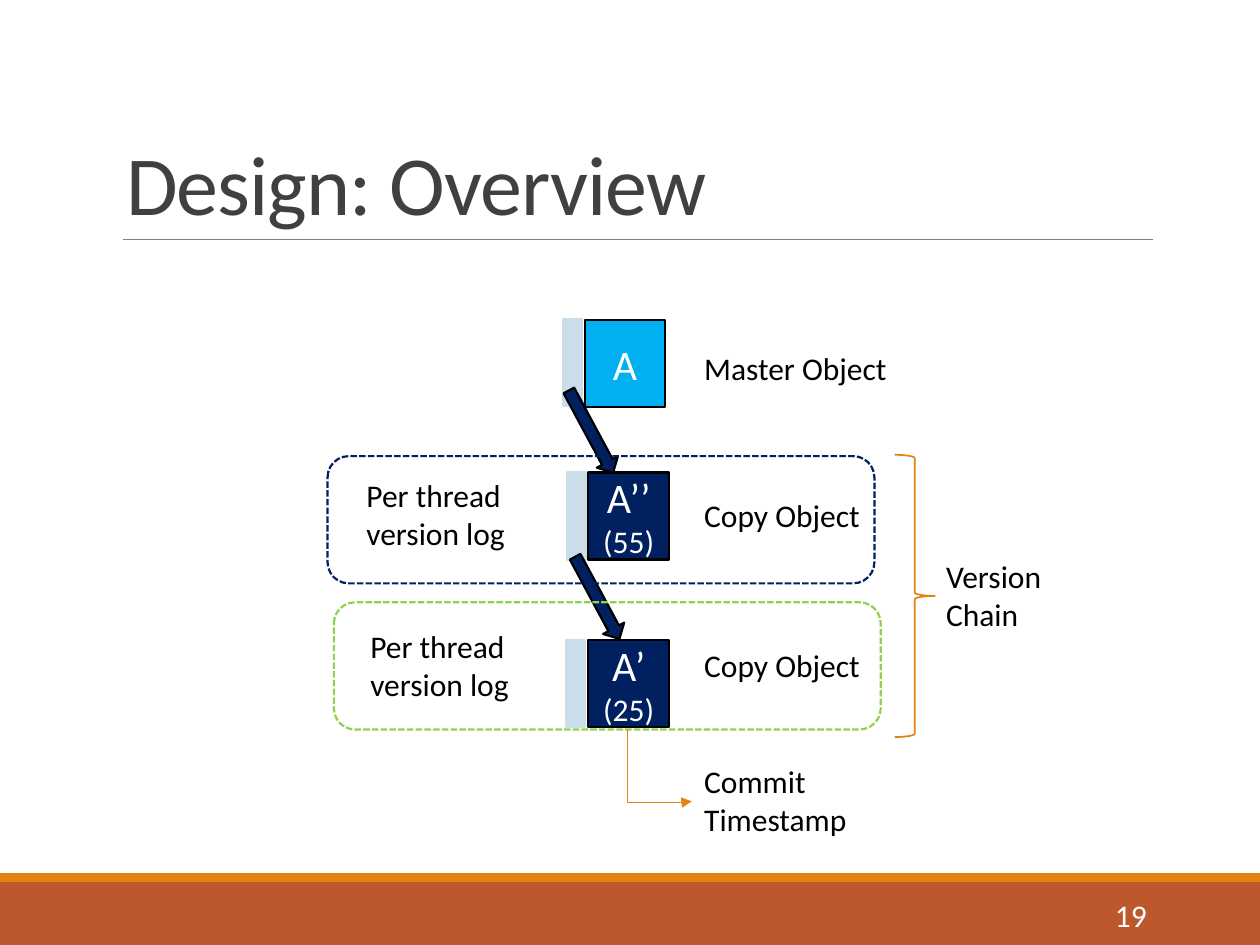
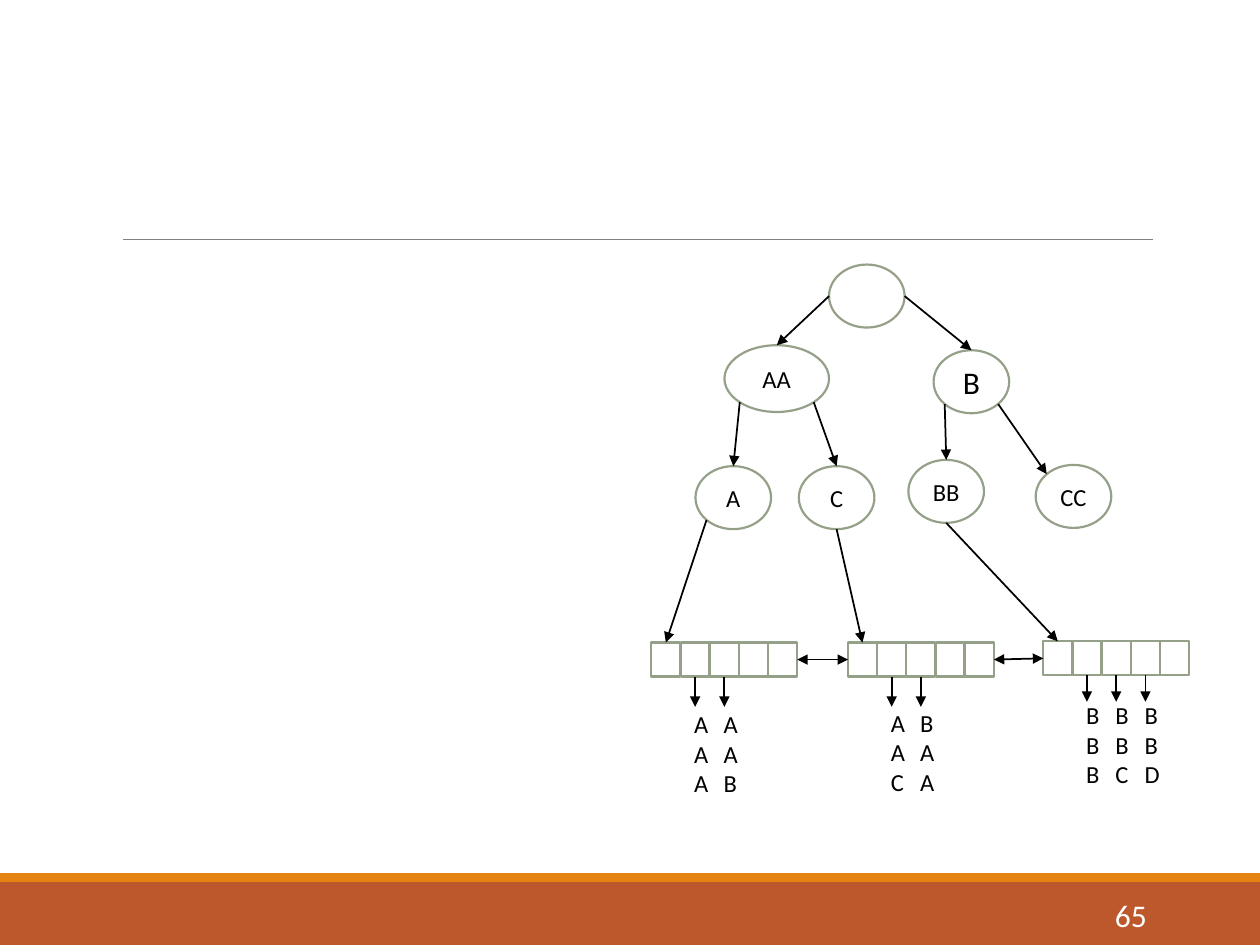
import math

import pptx
import pptx.dml.color
import pptx.enum.dml
import pptx.enum.shapes
import pptx.enum.text
import pptx.oxml
import pptx.oxml.ns
import pptx.util

Inches, Pt = pptx.util.Inches, pptx.util.Pt
SHAPE = pptx.enum.shapes.MSO_SHAPE
LINE = pptx.enum.shapes.MSO_CONNECTOR
ANCHOR = pptx.enum.text.MSO_ANCHOR
ALIGN = pptx.enum.text.PP_ALIGN
FIT = pptx.enum.text.MSO_AUTO_SIZE

COLORS = {
    "white": "FFFFFF", "black": "000000", "title": "404040", "rule": "808080",
    "rust": "BD582C", "orange": "E48312", "sky": "00B0F0", "navy": "002060",
    "pale": "CCDDEA", "green": "92D050", "sage": "94A088",
}
FONT = "Calibri"
TITLE_AT = (0.9, 0.31, 8.25, 1.59)
NUMBER_AT = (8.12, 7.06, 1.08, 0.4)
BANDS = [((0, 7, 10, 0.5), "rust"), ((0, 6.93, 10, 0.07), "orange")]

# Version chain: objects with their header strips, labels and logs
OBJECT_W, OBJECT_H, STRIP_W = 0.64, 0.69, 0.15
OBJECTS = [  # left, top, strip left, strip top, fill, lines with sizes
    (4.64, 2.54, 4.47, 2.53, "sky", [("A", 24)]),
    (4.67, 3.75, 4.5, 3.75, "navy", [("A’’", 24), ("(55)", 18)]),
    (4.67, 5.08, 4.49, 5.08, "navy", [("A’", 24), ("(25)", 18)]),
]
LABELS = [
    ("Master Object", (5.49, 2.72, 1.75, 0.4)),
    ("Copy Object", (5.49, 3.89, 1.75, 0.4)),
    ("Copy Object", (5.49, 5.08, 1.75, 0.4)),
    ("Per thread version log", (2.81, 3.73, 1.45, 0.71)),
    ("Per thread version log", (2.84, 4.93, 1.45, 0.71)),
    ("Version Chain", (7.41, 4.37, 1.05, 0.71)),
    ("Commit Timestamp", (5.49, 6, 1.51, 0.71)),
]
CHAIN_ARROWS = [(4.32, 3.33), (4.37, 4.65)]
LOGS = [(2.6, 3.62, "navy"), (2.65, 4.78, "green")]

# Search tree: nodes, edges and leaf rows
NODES = {  # name: (place, text size)
    "root": ((6.58, 2.1, 0.6, 0.5), None),
    "AA": ((5.75, 2.74, 0.83, 0.53), 14),
    "B": ((7.41, 2.78, 0.6, 0.5), 18),
    "A": ((5.52, 3.7, 0.6, 0.5), 14),
    "C": ((6.34, 3.7, 0.6, 0.5), 14),
    "BB": ((7.21, 3.65, 0.6, 0.5), 14),
    "CC": ((8.22, 3.69, 0.6, 0.5), 14),
}
SITE_ANGLES = {"right": 0, "lower right": 45, "bottom": 90, "lower left": 135,
               "left": 180, "upper left": 225, "top": 270}
EDGES = [
    ("root", "left", "AA", "top"), ("root", "right", "B", "top"),
    ("AA", "lower left", "A", "top"), ("AA", "lower right", "C", "top"),
    ("B", "lower left", "BB", "top"), ("B", "lower right", "CC", "upper left"),
]
CELLS, CELL_W, CELL_H = 5, 0.23, 0.27
ROW_W = 1.16
LEAF_ROWS = [  # left, top, arrow end, keys top, parent and its site, keys
    (5.17, 5.1, 5.61, 5.58, ("A", "lower left"), ["AAA", "AAB"]),
    (6.73, 5.1, 5.61, 5.57, ("C", "bottom"), ["AAC", "BAA"]),
    (8.28, 5.09, 5.57, 5.51, ("BB", "bottom"), ["BBB", "BBC", "BBD"]),
]


def rgb(name):
    return pptx.dml.color.RGBColor.from_string(COLORS[name])


def write(tf, lines, color="black", align=ALIGN.LEFT, **frame):
    """Fill a text frame with (text, size) lines."""
    for attr, value in {"word_wrap": True, **frame}.items():
        setattr(tf, attr, value)
    for i, (text, size) in enumerate(lines):
        p = tf.paragraphs[0] if i == 0 else tf.add_paragraph()
        p.alignment = align
        r = p.add_run()
        r.text = text
        for attr, value in {"name": FONT, "size": Pt(size)}.items():
            setattr(r.font, attr, value)
        r.font.color.rgb = rgb(color)


def add_shape(slide, kind, at, fill=None, line=None, width=1.25, dash=None):
    sp = slide.shapes.add_shape(kind, *map(Inches, at))
    sp.shadow.inherit = False
    if fill:
        sp.fill.solid()
        sp.fill.fore_color.rgb = rgb(fill)
    else:
        sp.fill.background()
    if line:
        sp.line.color.rgb = rgb(line)
        sp.line.width = Pt(width)
        sp.line.dash_style = dash
    else:
        sp.line.fill.background()
    return sp


def add_text(slide, lines, at, **style):
    box = slide.shapes.add_textbox(*map(Inches, at))
    write(box.text_frame, lines, **style)


def add_line(slide, start, end, color="black", width=1, heads=("tailEnd",),
             kind=LINE.STRAIGHT):
    c = slide.shapes.add_connector(kind, *map(Inches, (*start, *end)))
    c.line.color.rgb = rgb(color)
    c.line.width = Pt(width)
    ln = c.line._get_or_add_ln()
    for head in heads:
        ln.append(pptx.oxml.parse_xml(
            f'<a:{head} {pptx.oxml.ns.nsdecls("a")} type="triangle"/>'))
    c._element.spPr.append(pptx.oxml.parse_xml(
        f'<a:effectLst {pptx.oxml.ns.nsdecls("a")}/>'))
    return c


def new_slide(prs, number, title=None):
    """Add a slide with the bands, title rule, title and number."""
    slide = prs.slides.add_slide(prs.slide_layouts[5 if title else 6])
    for at, color in BANDS:
        add_shape(slide, SHAPE.RECTANGLE, at, color)
    add_line(slide, (0.98, 1.9), (9.15, 1.9), "rule", 0.5, heads=())
    if title:
        sp = slide.shapes.title
        for attr, value in zip(("left", "top", "width", "height"), TITLE_AT):
            setattr(sp, attr, Inches(value))
        write(sp.text_frame, [(title, 48)], "title",
              vertical_anchor=ANCHOR.BOTTOM, auto_size=FIT.NONE)
        p = sp.text_frame.paragraphs[0]
        p.line_spacing = 0.85
        p.runs[0]._r.get_or_add_rPr().set("spc", "-50")
    add_text(slide, [(str(number), 18)], NUMBER_AT, color="white",
             align=ALIGN.RIGHT, vertical_anchor=ANCHOR.MIDDLE)
    return slide


def build_overview(prs):
    slide = new_slide(prs, 19, "Design: Overview")
    # Objects and header strips
    for left, top, strip_left, strip_top, fill, lines in OBJECTS:
        sp = add_shape(slide, SHAPE.RECTANGLE, (left, top, OBJECT_W, OBJECT_H),
                       fill, "black")
        write(sp.text_frame, lines, "white", ALIGN.CENTER,
              vertical_anchor=ANCHOR.MIDDLE)
        add_shape(slide, SHAPE.RECTANGLE,
                  (strip_left, strip_top, STRIP_W, OBJECT_H), "pale", "pale")
    # Arrows down the chain
    for left, top in CHAIN_ARROWS:
        sp = add_shape(slide, SHAPE.RIGHT_ARROW, (left, top, 0.74, 0.19),
                       "navy", "black")
        sp.rotation = 61.7
    # Thread logs, brace and labels
    for left, top, color in LOGS:
        add_shape(slide, SHAPE.FLOWCHART_ALTERNATE_PROCESS,
                  (left, top, 4.34, 1.01), line=color,
                  dash=pptx.enum.dml.MSO_LINE.SQUARE_DOT)
    add_shape(slide, SHAPE.RIGHT_BRACE, (7.1, 3.61, 0.32, 2.24),
              line="orange", width=1)
    for text, at in LABELS:
        add_text(slide, [(text, 18)], at, auto_size=FIT.SHAPE_TO_FIT_TEXT)
    # Elbow to the timestamp: turned so that it leaves downwards
    c = add_line(slide, (5.52, 5.82), (4.95, 6.33), "orange", kind=LINE.ELBOW)
    c._element.spPr.xfrm.set("rot", str(270 * 60000))
    geom = c._element.spPr.find(pptx.oxml.ns.qn("a:prstGeom"))
    geom.find(pptx.oxml.ns.qn("a:avLst")).append(pptx.oxml.parse_xml(
        f'<a:gd {pptx.oxml.ns.nsdecls("a")} name="adj1" fmla="val 101500"/>'))


def node_site(name, site):
    """Point on a node's outline."""
    left, top, width, height = NODES[name][0]
    angle = math.radians(SITE_ANGLES[site])
    return (left + width / 2 * (1 + math.cos(angle)),
            top + height / 2 * (1 + math.sin(angle)))


def build_tree(prs):
    slide = new_slide(prs, 65)
    # Nodes and edges
    for name, (at, size) in NODES.items():
        sp = add_shape(slide, SHAPE.OVAL, at, "white", "sage")
        if size:
            write(sp.text_frame, [(name, size)], align=ALIGN.CENTER,
                  vertical_anchor=ANCHOR.MIDDLE)
    for parent, start, child, end in EDGES:
        add_line(slide, node_site(parent, start), node_site(child, end))
    # Leaf rows with their keys
    last_cell = None
    for left, top, arrow_end, keys_top, parent, keys in LEAF_ROWS:
        xs = [left + i * ROW_W / CELLS for i in range(CELLS)]
        cells = [add_shape(slide, SHAPE.RECTANGLE, (x, top, CELL_W, CELL_H),
                           "white", "sage") for x in xs]
        c = add_line(slide, node_site(*parent), (left + CELL_W / 2, top))
        c.end_connect(cells[0], 0)
        if last_cell:
            c = add_line(slide, (left, top), (left, top),
                         heads=("headEnd", "tailEnd"))
            c.begin_connect(last_cell, 3)
            c.end_connect(cells[0], 1)
        last_cell = cells[-1]
        for x, cell, key in zip(xs[1:], cells[1:], keys):
            middle = x + CELL_W / 2
            c = add_line(slide, (middle, top + CELL_H), (middle, arrow_end))
            c.begin_connect(cell, 2)
            add_text(slide, [(letter, 14) for letter in key],
                     (x + 0.01, keys_top, 0.23, 0.81), align=ALIGN.CENTER,
                     auto_size=FIT.SHAPE_TO_FIT_TEXT)


def main():
    prs = pptx.Presentation()
    prs.slide_width, prs.slide_height = Inches(10), Inches(7.5)
    build_overview(prs)
    build_tree(prs)
    prs.save("out.pptx")


if __name__ == "__main__":
    main()
